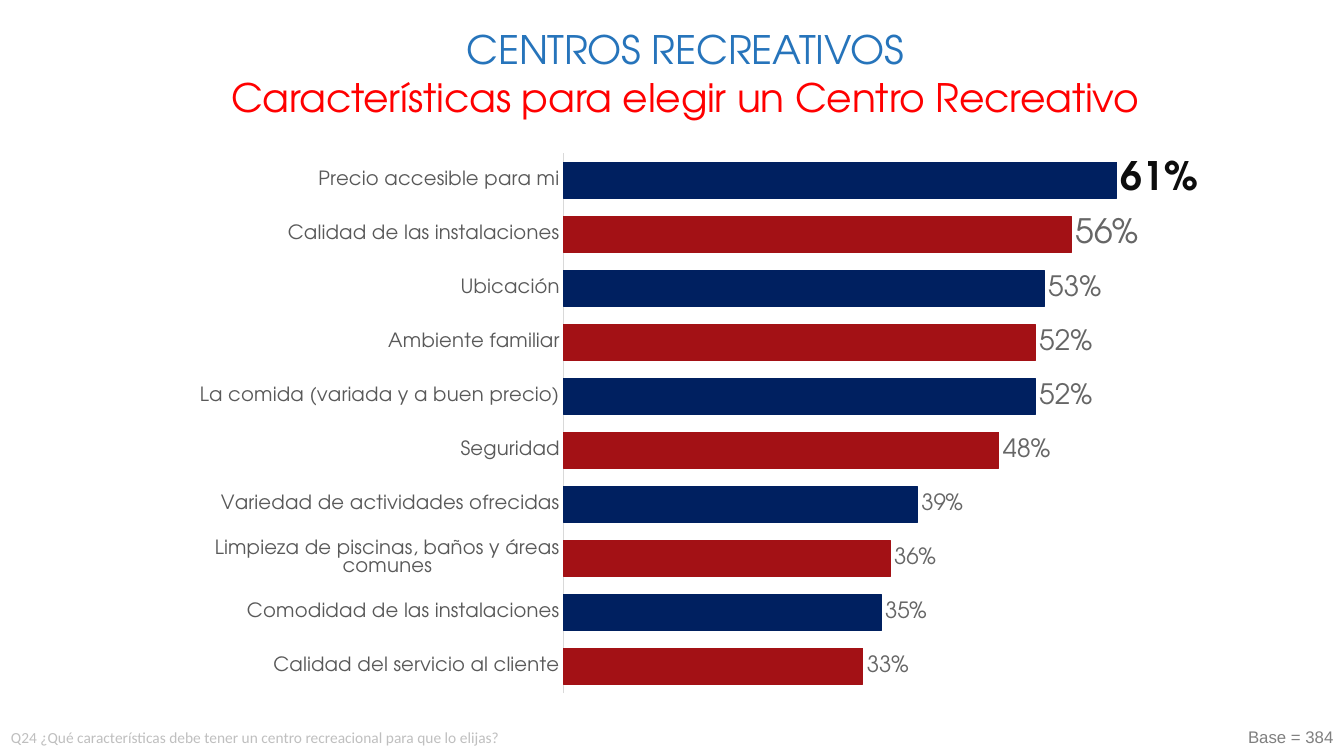
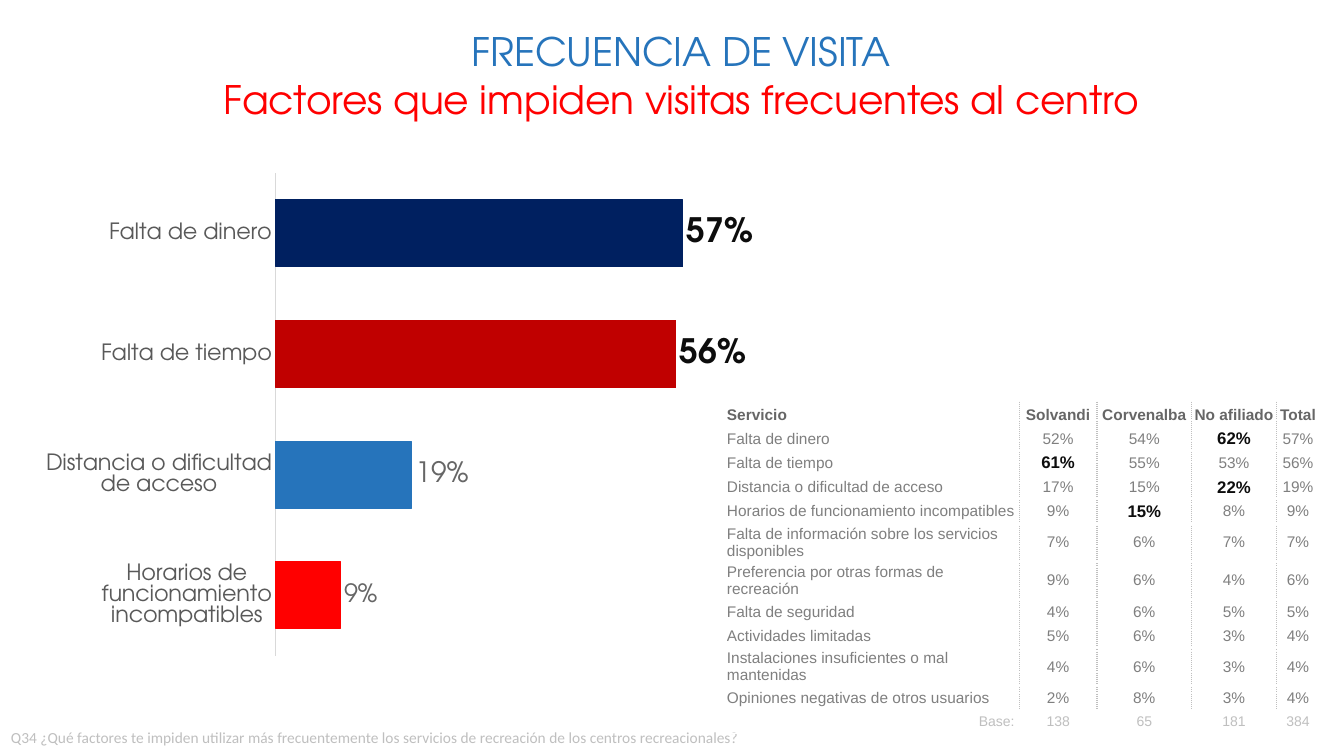
import itertools

import pptx
import pptx.chart.data
import pptx.dml.color
import pptx.enum.chart
import pptx.enum.dml
import pptx.enum.text
import pptx.oxml
import pptx.oxml.ns
import pptx.util

Inches = pptx.util.Inches
Pt = pptx.util.Pt
ALIGN = pptx.enum.text.PP_ALIGN
DISPLAY, NOTE, BODY = "TeX Gyre Adventor", "Calibri", "Arial"
NAVY, CRIMSON, BLUE, RED, DARK_RED = "002060", "A31115", "2674BB", "FF0000", "C00000"
INK, DARK_GRAY, LABEL_GRAY, GRAY, PALE = "0D0D0D", "595959", "666666", "7F7F7F", "BFBFBF"
AXIS_GRAY, BASE_GRAY = "D9D9D9", "808080"

FEATURES = [
    ("Calidad del servicio al cliente", 0.33, 16),
    ("Comodidad de las instalaciones", 0.35, 16),
    ("Limpieza de piscinas, baños y áreas comunes", 0.36, 16),
    ("Variedad de actividades ofrecidas", 0.39, 16),
    ("Seguridad", 0.48, 18),
    ("La comida (variada y a buen precio)", 0.52, 20),
    ("Ambiente familiar", 0.52, 20),
    ("Ubicación", 0.53, 20),
    ("Calidad de las instalaciones", 0.56, 24),
    ("Precio accesible para mi", 0.61, 28),
]
BARRIERS = [
    ("Horarios de funcionamiento incompatibles", 0.09, 18),
    ("Distancia o dificultad de acceso", 0.19, 20),
    ("Falta de tiempo", 0.56, 24),
    ("Falta de dinero", 0.57, 24),
]
SERVICE_ROWS = [
    ("Servicio", "Solvandi", "Corvenalba", "No afiliado", "Total"),
    ("Falta de dinero", "52%", "54%", "62%", "57%"),
    ("Falta de tiempo", "61%", "55%", "53%", "56%"),
    ("Distancia o dificultad de acceso", "17%", "15%", "22%", "19%"),
    ("Horarios de funcionamiento incompatibles", "9%", "15%", "8%", "9%"),
    ("Falta de información sobre los servicios disponibles", "7%", "6%", "7%", "7%"),
    ("Preferencia por otras formas de recreación", "9%", "6%", "4%", "6%"),
    ("Falta de seguridad", "4%", "6%", "5%", "5%"),
    ("Actividades limitadas", "5%", "6%", "3%", "4%"),
    ("Instalaciones insuficientes o mal mantenidas", "4%", "6%", "3%", "4%"),
    ("Opiniones negativas de otros usuarios", "2%", "8%", "3%", "4%"),
    ("Base: ", "138", "65", "181", "384"),
]
HIGHLIGHTS = {(1, 3), (2, 1), (3, 3), (4, 2)}
COLUMN_WIDTHS = [2.91, 0.77, 0.94, 0.84, 0.43]
ROW_HEIGHT = 0.24


def color(value):
    return pptx.dml.color.RGBColor.from_string(value)


def apply(target, values):
    for name, value in values.items():
        setattr(target, name, value)


def style_font(font, name, size, shade, bold=False):
    apply(font, {"name": name, "size": Pt(size), "bold": bold})
    font.color.rgb = color(shade)


def add_text(page, area, lines, name, size, **frame_format):
    box = page.shapes.add_textbox(*map(Inches, area))
    frame = box.text_frame
    apply(frame, {"word_wrap": True, **frame_format})
    for index, (text, shade) in enumerate(lines):
        para = frame.add_paragraph() if index else frame.paragraphs[0]
        span = para.add_run()
        span.text = text
        style_font(span.font, name, size, shade)
    return frame.paragraphs


def add_title(page, area, heading, subtitle):
    paras = add_text(page, area, [(heading, BLUE), (subtitle, RED)], DISPLAY, 28,
                     margin_left=0, margin_right=0, margin_top=Inches(0.01), margin_bottom=0)
    for index, para in enumerate(paras):
        apply(para, {"alignment": ALIGN.CENTER, "space_before": Pt(index)})
        para.runs[0].font._element.set("spc", "-10")


def add_question(page, text):
    add_text(page, (0.01, 7.17, 9.41, 0.29), [(text, PALE)], NOTE, 11)


def place_plot(chart, area):
    parts = "".join(f'<c:{tag} val="{value}"/>' for tag, value in zip("xywh", area))
    layout = pptx.oxml.parse_xml(
        f'<c:layout {pptx.oxml.ns.nsdecls("c")}><c:manualLayout><c:layoutTarget val="inner"/>'
        f'<c:xMode val="edge"/><c:yMode val="edge"/>{parts}</c:manualLayout></c:layout>'
        .replace('<c:w ', '<c:w ', 1))
    plot_area = chart._chartSpace.chart.plotArea
    for old in plot_area.findall(pptx.oxml.ns.qn("c:layout")):
        plot_area.remove(old)
    plot_area.insert(0, layout)


def add_bars(page, area, plot_area, bars, shades, gap, maximum, axis_size, bold_count):
    data = pptx.chart.data.CategoryChartData(number_format="0%")
    names, values, sizes = zip(*bars)
    data.categories = names
    data.add_series("Series 1", values)
    chart = page.shapes.add_chart(pptx.enum.chart.XL_CHART_TYPE.BAR_CLUSTERED,
                                  *map(Inches, area), data).chart
    apply(chart, {"has_title": False, "has_legend": False})
    style_font(chart.font, NOTE, 10, "000000")
    place_plot(chart, plot_area)

    no_mark = pptx.enum.chart.XL_TICK_MARK.NONE
    ticks = {"major_tick_mark": no_mark, "minor_tick_mark": no_mark, "has_major_gridlines": False}
    apply(chart.category_axis, ticks)
    style_font(chart.category_axis.tick_labels.font, DISPLAY, axis_size, DARK_GRAY)
    axis_line = chart.category_axis.format.line
    axis_line.width = Pt(0.75)
    axis_line.color.rgb = color(AXIS_GRAY)
    apply(chart.value_axis, {**ticks, "visible": False, "minimum_scale": 0,
                             "maximum_scale": maximum})

    plot = chart.plots[0]
    apply(plot, {"gap_width": gap, "vary_by_categories": False})
    outside = pptx.enum.chart.XL_LABEL_POSITION.OUTSIDE_END
    series = plot.series[0]
    apply(series.data_labels, {"show_value": True, "number_format": "0%",
                               "number_format_is_linked": False, "position": outside})
    style_font(series.data_labels.font, DISPLAY, 18, LABEL_GRAY)
    for index, (size, shade) in enumerate(zip(sizes, itertools.cycle(shades))):
        point = series.points[index]
        point.format.fill.solid()
        point.format.fill.fore_color.rgb = color(shade)
        point.format.line.width = Pt(0.75)
        point.format.line.color.rgb = color(shade)
        bold = index >= len(bars) - bold_count
        style_font(point.data_label.font, DISPLAY, size, INK if bold else LABEL_GRAY, bold)
        point.data_label.position = outside


def add_dotted_sides(cell, sides):
    properties = cell._tc.get_or_add_tcPr()
    for side in sides:
        properties.append(pptx.oxml.parse_xml(
            f'<a:ln{side} {pptx.oxml.ns.nsdecls("a")} w="{Pt(1)}"><a:solidFill>'
            f'<a:srgbClr val="{PALE}"/></a:solidFill><a:prstDash val="sysDot"/></a:ln{side}>'))


def cell_style(row, column):
    if row == 0:
        return 11, LABEL_GRAY, True
    if row == len(SERVICE_ROWS) - 1:
        return 10, PALE, False
    return (12, INK, True) if (row, column) in HIGHLIGHTS else (11, GRAY, False)


def fill_cell(cell, text, row, column):
    last_row, last_column = len(SERVICE_ROWS) - 1, len(COLUMN_WIDTHS) - 1
    inset = Inches(0.01)
    apply(cell, {"margin_left": inset, "margin_right": inset, "margin_top": inset,
                 "margin_bottom": 0, "vertical_anchor": pptx.enum.text.MSO_ANCHOR.MIDDLE})
    if row < last_row:
        add_dotted_sides(cell, "L" * (column > 0) + "R" * (column < last_column))
    cell.fill.background()
    para = cell.text_frame.paragraphs[0]
    first_align = ALIGN.RIGHT if row == last_row else ALIGN.LEFT
    para.alignment = ALIGN.CENTER if column else first_align
    span = para.add_run()
    span.text = text
    style_font(span.font, BODY, *cell_style(row, column))


def add_service_table(page):
    row_count = len(SERVICE_ROWS)
    area = (7.2, 3.99, sum(COLUMN_WIDTHS), ROW_HEIGHT * row_count)
    table = page.shapes.add_table(row_count, len(COLUMN_WIDTHS), *map(Inches, area)).table
    apply(table, {"first_row": False, "horz_banding": False})
    for column, width in zip(table.columns, COLUMN_WIDTHS):
        column.width = Inches(width)
    for row, texts in enumerate(SERVICE_ROWS):
        table.rows[row].height = Inches(ROW_HEIGHT)
        for column, text in enumerate(texts):
            fill_cell(table.cell(row, column), text, row, column)


def add_features_page(page):
    add_title(page, (1.67, 0.24, 10.25, 0.97), "CENTROS RECREATIVOS",
              "Características para elegir un Centro Recreativo")
    add_question(page, "Q24 ¿Qué características debe tener un centro recreacional "
                       "para que lo elijas?")
    add_text(page, (12.28, 7.16, 1.06, 0.3), [("Base = 384", BASE_GRAY)], BODY, 12,
             word_wrap=False)
    add_bars(page, (1.47, 1.29, 10.85, 5.82), (0.38, 0.04, 0.58, 0.92), FEATURES,
             [CRIMSON, NAVY], gap=50, maximum=0.7, axis_size=14, bold_count=1)


def add_barriers_page(page):
    add_question(page, "Q34 ¿Qué factores te impiden utilizar más frecuentemente los "
                       "servicios de recreación de los centros recreacionales?")
    add_title(page, (1.43, 0.26, 10.65, 0.96), "FRECUENCIA DE VISITA",
              "Factores que impiden visitas frecuentes al centro")
    add_service_table(page)
    add_bars(page, (0.17, 1.56, 7.33, 5.26), (0.35, 0.03, 0.58, 0.91), BARRIERS,
             [RED, BLUE, DARK_RED, NAVY], gap=80, maximum=0.6, axis_size=16, bold_count=2)


def main():
    deck = pptx.Presentation()
    apply(deck, {"slide_width": Inches(13.33), "slide_height": Inches(7.5)})
    for build in (add_features_page, add_barriers_page):
        build(deck.slides.add_slide(deck.slide_layouts[6]))
    deck.save("out.pptx")


if __name__ == "__main__":
    main()
